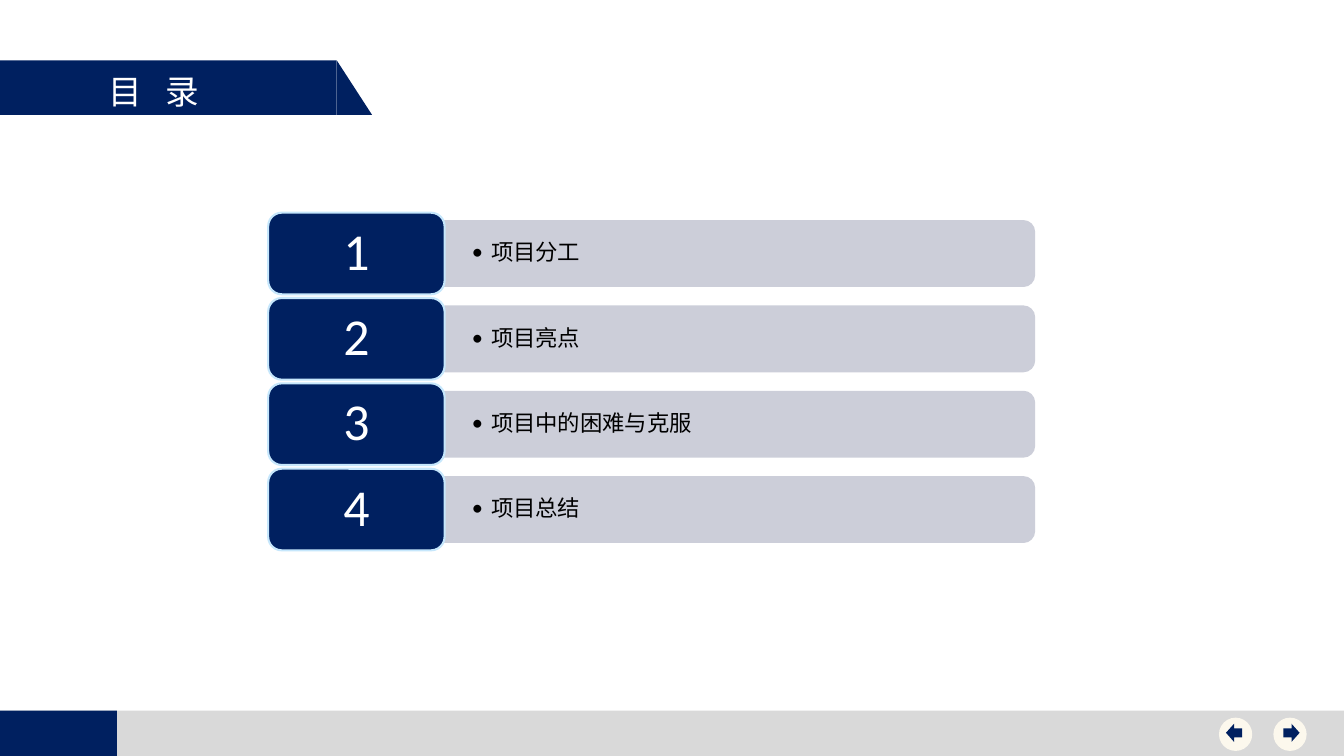
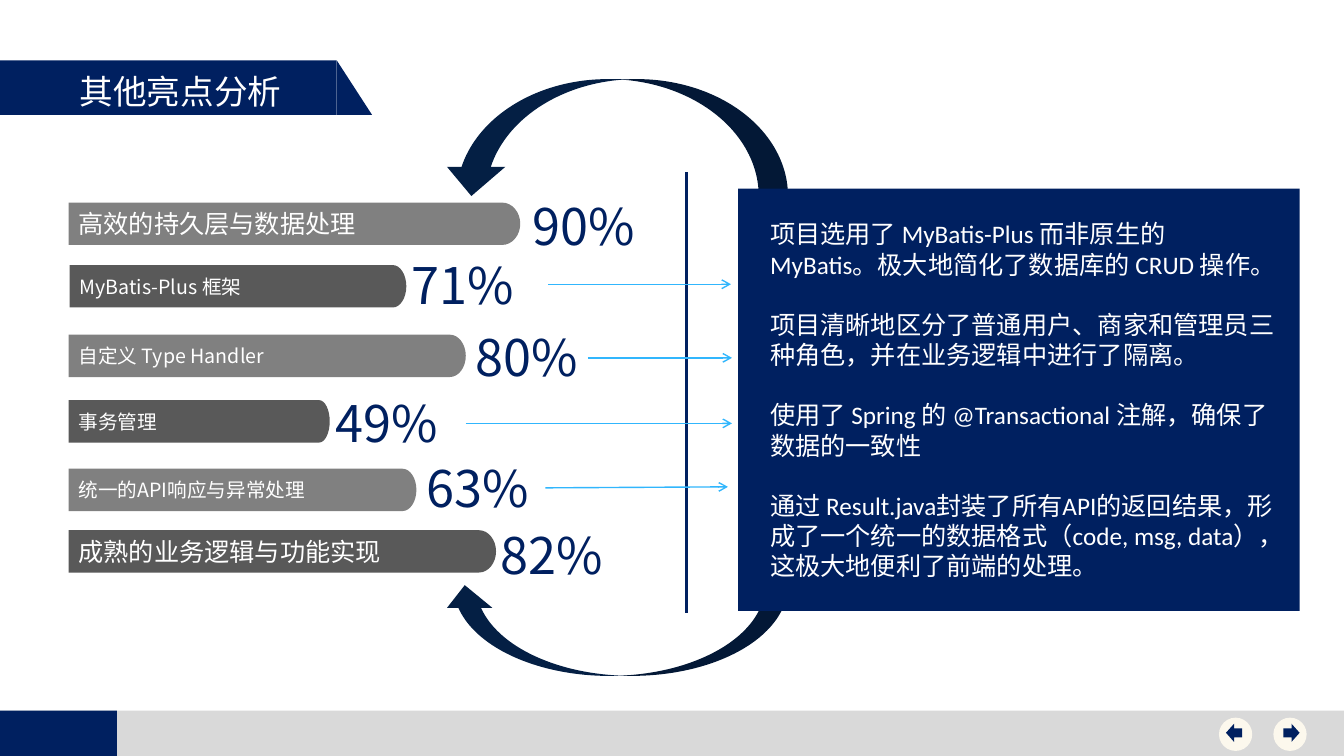
from dataclasses import dataclass

from lxml import etree
from pptx import Presentation
from pptx.dml.color import RGBColor
from pptx.enum.shapes import MSO_CONNECTOR, MSO_SHAPE
from pptx.enum.text import MSO_ANCHOR, PP_ALIGN
from pptx.oxml.ns import qn
from pptx.util import Inches, Pt

RECTANGLE = MSO_SHAPE.RECTANGLE
ROUNDED = MSO_SHAPE.ROUNDED_RECTANGLE
TRIANGLE = MSO_SHAPE.RIGHT_TRIANGLE
OVAL = MSO_SHAPE.OVAL
LEFT_ARROW = MSO_SHAPE.LEFT_ARROW
RIGHT_ARROW = MSO_SHAPE.RIGHT_ARROW
CURVED_ARROW = MSO_SHAPE.CURVED_RIGHT_ARROW
STRAIGHT = MSO_CONNECTOR.STRAIGHT
TOP = MSO_ANCHOR.TOP
MIDDLE = MSO_ANCHOR.MIDDLE
LEFT = PP_ALIGN.LEFT
CENTER = PP_ALIGN.CENTER


@dataclass(frozen=True)
class Theme:
    navy: RGBColor = RGBColor.from_string("002060")
    deep_navy: RGBColor = RGBColor.from_string("041F44")
    white: RGBColor = RGBColor.from_string("FFFFFF")
    black: RGBColor = RGBColor.from_string("000000")
    cream: RGBColor = RGBColor.from_string("FCF8ED")
    footer: RGBColor = RGBColor.from_string("D9D9D9")
    agenda: RGBColor = RGBColor.from_string("CCCED9")
    tile_edge: RGBColor = RGBColor.from_string("C6E7FC")
    light_bar: RGBColor = RGBColor.from_string("808080")
    dark_bar: RGBColor = RGBColor.from_string("595959")
    arrow: RGBColor = RGBColor.from_string("31B6FD")
    latin_font: str = "Calibri"
    chinese_font: str = "Noto Sans CJK SC"
    number_size: int = 37
    percent_size: int = 36
    title_size: int = 24
    body_size: int = 18
    agenda_size: int = 16
    small_size: int = 14


theme = Theme()


def add_block(page, kind, left, top, width, height, fill,
              edge=None, edge_width=1, cap=None):
    x, y, w, h = map(Inches, (left, top, width, height))
    if cap:
        cap_x, cap_y = map(Inches, cap)
        builder = page.shapes.build_freeform(x, y, scale=1.0)
        builder.add_line_segments([
            (x + w - cap_x, y), (x + w, y + cap_y), (x + w, y + h - cap_y),
            (x + w - cap_x, y + h), (x, y + h)], close=True)
        block = builder.convert_to_shape()
        segments = list(block._element.iter(qn("a:lnTo")))
        corners = [
            (segments[1], (w - 0.45 * cap_x, 0), (w, 0.45 * cap_y)),
            (segments[3], (w, h - 0.45 * cap_y), (w - 0.45 * cap_x, h))]
        for segment, *controls in corners:
            segment.tag = qn("a:cubicBezTo")
            for position, (control_x, control_y) in enumerate(controls):
                point = etree.Element(qn("a:pt"), x=str(round(control_x)),
                                      y=str(round(control_y)))
                segment.insert(position, point)
    else:
        block = page.shapes.add_shape(kind, x, y, w, h)
    block.shadow.inherit = False
    block.fill.solid()
    block.fill.fore_color.rgb = fill
    if edge is None:
        block.line.fill.background()
    else:
        block.line.color.rgb = edge
        block.line.width = Pt(edge_width)
    return block


def write_text(box, *lines, size, color=theme.white, font=theme.chinese_font,
               align=LEFT, anchor=MIDDLE, margins=(0.1, 0.05, 0.1, 0.05),
               wrap=True, line_spacing=1.0, gap=0, tracking=0, bullet=False):
    frame = box.text_frame
    frame.word_wrap = wrap
    frame.vertical_anchor = anchor
    (frame.margin_left, frame.margin_top,
     frame.margin_right, frame.margin_bottom) = map(Inches, margins)
    for index, line in enumerate(lines):
        para = frame.add_paragraph() if index else frame.paragraphs[0]
        para.alignment = align
        para.line_spacing = line_spacing
        para.space_before = Pt(0)
        para.space_after = Pt(gap)
        if bullet:
            properties = para._p.get_or_add_pPr()
            properties.set("marL", str(Inches(0.19)))
            properties.set("indent", str(-Inches(0.19)))
            etree.SubElement(properties, qn("a:buFont")).set("typeface", font)
            etree.SubElement(properties, qn("a:buChar")).set("char", "•")
        span = para.add_run()
        span.text = line
        span.font.size = Pt(size)
        span.font.color.rgb = color
        span.font.name = font
        properties = span._r.get_or_add_rPr()
        etree.SubElement(properties, qn("a:ea")).set("typeface", theme.chinese_font)
        if tracking:
            properties.set("spc", str(tracking))


deck = Presentation()
deck.slide_width = Inches(13.33)
deck.slide_height = Inches(7.5)
pages = []

headings = [("目 录", 0.98, 1.63, 540), ("其他亮点分析", 0.69, 2.99, 0)]
for heading, title_left, title_width, tracking in headings:
    page = deck.slides.add_slide(deck.slide_layouts[5])
    pages.append(page)

    add_block(page, RECTANGLE, 0, 7.05, 13.33, 0.45, theme.footer)
    add_block(page, RECTANGLE, 0, 7.05, 1.16, 0.45, theme.navy)
    for kind, button_left, arrow_left in [
            (LEFT_ARROW, 12.09, 12.16), (RIGHT_ARROW, 12.63, 12.73)]:
        add_block(page, OVAL, button_left, 7.12, 0.33, 0.33, theme.cream)
        add_block(page, kind, arrow_left, 7.18, 0.16, 0.18, theme.navy)

    add_block(page, RECTANGLE, 0, 0.6, 3.34, 0.54, theme.navy)
    add_block(page, TRIANGLE, 3.34, 0.6, 0.35, 0.54, theme.navy)
    title = page.shapes.title
    title.left, title.top = Inches(title_left), Inches(0.65)
    title.width, title.height = Inches(title_width), Inches(0.5)
    write_text(title, heading, size=theme.title_size, anchor=TOP,
               wrap=False, tracking=tracking)
    page.shapes._spTree.append(title._element)

contents, highlights = pages

agenda = ["项目分工", "项目亮点", "项目中的困难与克服", "项目总结"]
row_pitch = 2.54 / 3
for index, topic in enumerate(agenda):
    row_top = 2.11 + index * row_pitch
    bar = add_block(contents, None, 4.41, row_top + 0.08, 5.85, 0.65,
                    theme.agenda, edge=theme.agenda, cap=(0.11, 0.11))
    write_text(bar, topic, size=theme.agenda_size, color=theme.black,
               font=theme.latin_font, margins=(0.27, 0.17, 0.3, 0.17),
               line_spacing=0.9, gap=2.4, bullet=True)
    tile = add_block(contents, ROUNDED, 2.66, row_top, 1.75, 0.81,
                     theme.navy, edge=theme.tile_edge, edge_width=1.5)
    write_text(tile, str(index + 1), size=theme.number_size,
               font=theme.latin_font, align=CENTER,
               margins=(0.19, 0.12, 0.19, 0.12), line_spacing=0.9)

for left, top, width, flipped in [(5.52, -0.35, 1.16, False), (5.65, 4.54, 0.9, True)]:
    curve = add_block(highlights, CURVED_ARROW, left, top, width, 3.43, theme.deep_navy)
    curve.rotation = 90
    if flipped:
        curve._element.spPr.find(qn("a:xfrm")).set("flipH", "1")

bar_height = 0.42
bars = [
    ("高效的持久层与数据处理", theme.body_size, 0.68, 2.01, 4.48, "90%", 5.18, 1.89),
    ("MyBatis-Plus 框架", theme.small_size, 0.69, 2.63, 3.34, "71%", 3.98, 2.47),
    ("自定义 Type Handler", theme.small_size, 0.68, 3.32, 3.94, "80%", 4.62, 3.19),
    ("事务管理", theme.small_size, 0.68, 3.97, 2.59, "49%", 3.23, 3.84),
    ("统一的API响应与异常处理", theme.small_size, 0.68, 4.65, 3.45, "63%", 4.13, 4.49),
    ("成熟的业务逻辑与功能实现", theme.body_size, 0.68, 5.26, 4.24, "82%", 4.87, 5.15),
]
for index, (label, size, left, top, width, percent, percent_left, percent_top) in enumerate(bars):
    bar = add_block(highlights, None, left, top, width, bar_height,
                    theme.dark_bar if index % 2 else theme.light_bar,
                    cap=(0.04 * width, bar_height / 2))
    write_text(bar, label, size=size)
    box = highlights.shapes.add_textbox(
        Inches(percent_left), Inches(percent_top), Inches(1.43), Inches(0.71))
    write_text(box, percent, size=theme.percent_size, color=theme.navy,
               anchor=TOP, wrap=False)

lines = [
    (6.81, 1.71, 6.81, 6.08, theme.navy, 2.5, False),
    (5.44, 2.82, 7.25, 2.82, theme.arrow, 1, True),
    (5.83, 3.55, 7.26, 3.55, theme.arrow, 1, True),
    (4.62, 4.2, 7.26, 4.2, theme.arrow, 1, True),
    (5.41, 4.84, 7.22, 4.83, theme.arrow, 1, True),
]
for start_x, start_y, end_x, end_y, color, width, pointed in lines:
    line = highlights.shapes.add_connector(
        STRAIGHT, Inches(start_x), Inches(start_y), Inches(end_x), Inches(end_y))
    line.line.color.rgb = color
    line.line.width = Pt(width)
    if pointed:
        etree.SubElement(line.line._get_or_add_ln(), qn("a:tailEnd")).set("type", "arrow")
    etree.SubElement(line._element.spPr, qn("a:effectLst"))

add_block(highlights, RECTANGLE, 7.32, 1.87, 5.57, 4.19, theme.navy)
panel = add_block(highlights, RECTANGLE, 7.54, 2.12, 5.23, 3.73, theme.navy)
write_text(
    panel,
    "项目选用了 MyBatis-Plus 而非原生的 MyBatis。极大地简化了数据库的 CRUD 操作。",
    "项目清晰地区分了普通用户、商家和管理员三种角色，并在业务逻辑中进行了隔离。",
    "使用了 Spring 的 @Transactional 注解，确保了数据的一致性",
    "通过 Result.java封装了所有API的返回结果，形成了一个统一的数据格式"
    "（code, msg, data），这极大地便利了前端的处理。",
    size=theme.body_size, font=theme.latin_font, anchor=TOP, gap=21.5)

deck.save("out.pptx")
